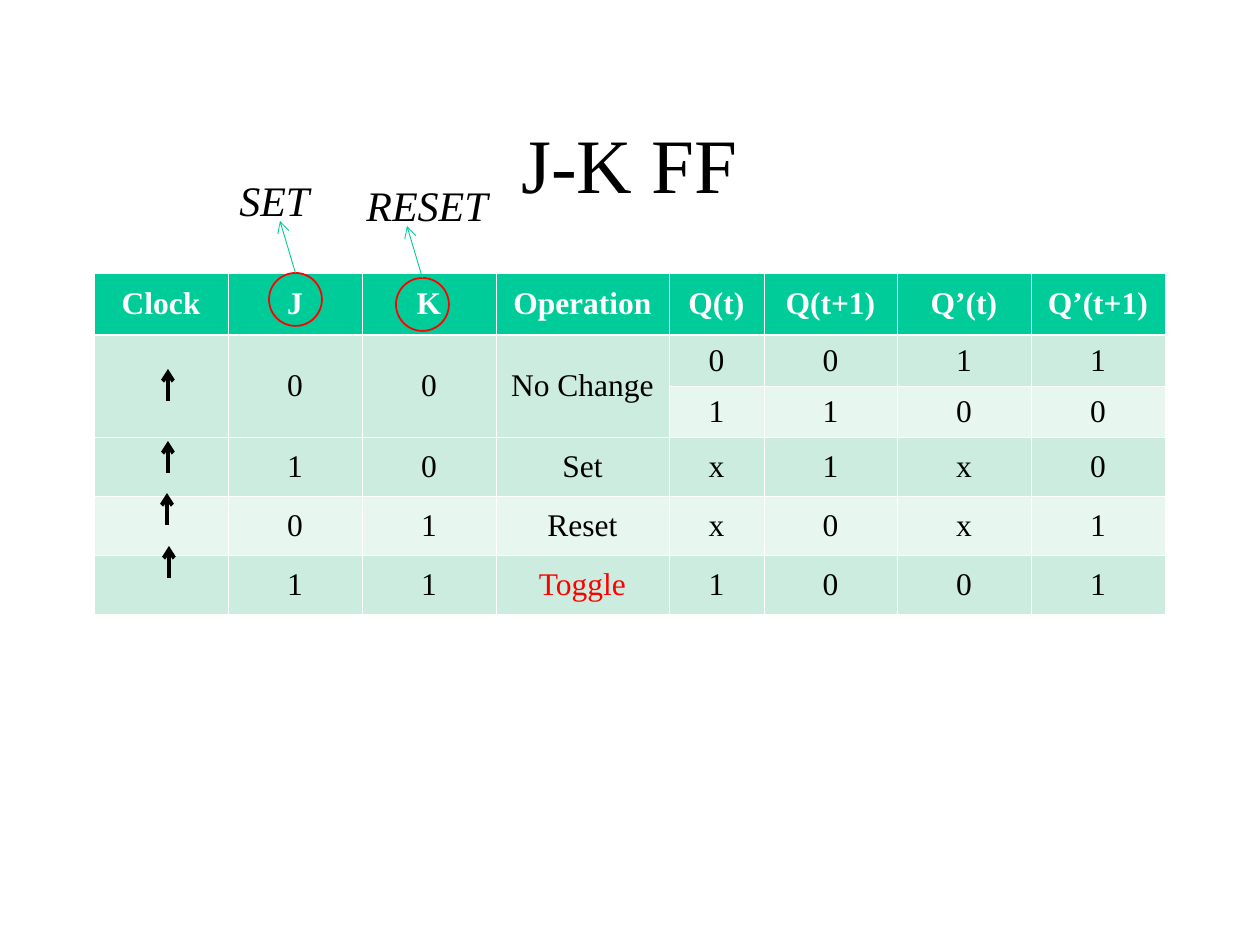
from lxml import etree
from pptx import Presentation
from pptx.dml.color import RGBColor
from pptx.enum.shapes import MSO_CONNECTOR, MSO_SHAPE
from pptx.enum.text import MSO_ANCHOR, PP_ALIGN
from pptx.oxml.ns import qn
from pptx.util import Pt

PX = 914400 // 126
FONT = "Times New Roman"
BLACK = RGBColor(0, 0, 0)
WHITE = RGBColor(255, 255, 255)
RED = RGBColor(255, 0, 0)
GREEN = RGBColor(0x00, 0xCC, 0x99)
MINT = RGBColor(0xCB, 0xEC, 0xDE)
PALE = RGBColor(0xE7, 0xF6, 0xEF)
LINE, OVAL = MSO_CONNECTOR.STRAIGHT, MSO_SHAPE.OVAL
LEFT, CENTER, MIDDLE = PP_ALIGN.LEFT, PP_ALIGN.CENTER, MSO_ANCHOR.MIDDLE


def write(frame, text, size, color=BLACK, align=CENTER):
    frame.text = text
    frame.word_wrap = True
    para = frame.paragraphs[0]
    para.alignment = align
    font = para.runs[0].font
    font.name, font.size, font.color.rgb = FONT, Pt(size), color
    return font


def arrow(shapes, x1, y1, x2, y2, color, width):
    line = shapes.add_connector(LINE, x1 * PX, y1 * PX, x2 * PX, y2 * PX)
    line.line.color.rgb = color
    line.line.width = Pt(width)
    etree.SubElement(line.line._get_or_add_ln(), qn("a:tailEnd"), type="arrow")
    etree.SubElement(line._element.spPr, qn("a:effectLst"))
    return line


prs = Presentation()
prs.slide_width, prs.slide_height = 1260 * PX, 945 * PX
slide = prs.slides.add_slide(prs.slide_layouts[6])
shapes = slide.shapes

# Title
title = shapes.add_textbox(94 * PX, 84 * PX, 1071 * PX, 158 * PX).text_frame
write(title, "J-K FF", 44)
title.vertical_anchor = MIDDLE

# Truth table
rows = [
    ["Clock", "J", "K", "Operation", "Q(t)", "Q(t+1)", "Q’(t)", "Q’(t+1)"],
    ["", "0", "0", "No Change", "0", "0", "1", "1"],
    ["", "", "", "", "1", "1", "0", "0"],
    ["", "1", "0", "Set", "x", "1", "x", "0"],
    ["", "0", "1", "Reset", "x", "0", "x", "1"],
    ["", "1", "1", "Toggle", "1", "0", "0", "1"],
]
widths = [134, 134, 134, 173, 95, 133, 134, 134]
heights = [62, 51, 51, 59, 59, 59]
table = shapes.add_table(len(rows), len(widths), 94 * PX, 273 * PX,
                         sum(widths) * PX, sum(heights) * PX).table
for col, wide in zip(table.columns, widths):
    col.width = wide * PX
for row, high in zip(table.rows, heights):
    row.height = high * PX

for r, texts in enumerate(rows):
    for c, text in enumerate(texts):
        cell = table.cell(r, c)
        cell.vertical_anchor = MIDDLE
        if text:
            color = WHITE if r == 0 else RED if text == "Toggle" else BLACK
            write(cell.text_frame, text, 18, color).bold = r == 0
        else:
            cell.text_frame.paragraphs[0].font.size = Pt(18)
        # Borders come before the fill in the cell properties
        props = cell._tc.get_or_add_tcPr()
        for side in ("L", "R", "T", "B"):
            thick = (r, side) in ((0, "B"), (1, "T"))
            edge = etree.SubElement(props, qn("a:ln" + side),
                                    w=str(Pt(1.47 if thick else 0.45)))
            fill = etree.SubElement(edge, qn("a:solidFill"))
            etree.SubElement(fill, qn("a:srgbClr"), val=str(WHITE))
        cell.fill.solid()
        cell.fill.fore_color.rgb = GREEN if r == 0 else MINT if r % 2 else PALE

for c in range(4):
    table.cell(1, c).merge(table.cell(2, c))

# Circled inputs with their names
for name, x, y, left, wide in (("SET", 269, 273, 227, 126),
                               ("RESET", 396, 278, 354, 158)):
    group = shapes.add_group_shape().shapes
    ring = group.add_shape(OVAL, x * PX, y * PX, 53 * PX, 53 * PX)
    ring.shadow.inherit = False
    ring.fill.background()
    ring.line.color.rgb = RED
    ring.line.width = Pt(1)
    link = arrow(group, x + 26, y, x + 11, y - 52, GREEN, 0.5)
    link.begin_connect(ring, 0)
    label = group.add_textbox(left * PX, (y - 105) * PX, wide * PX, 63 * PX)
    write(label.text_frame, name, 24, align=LEFT).italic = True

# Rising clock edges
for x, y in ((168, 401), (168, 473), (167, 525), (169, 578)):
    arrow(shapes, x, y, x, y - 32, BLACK, 2.25)

prs.save("out.pptx")
